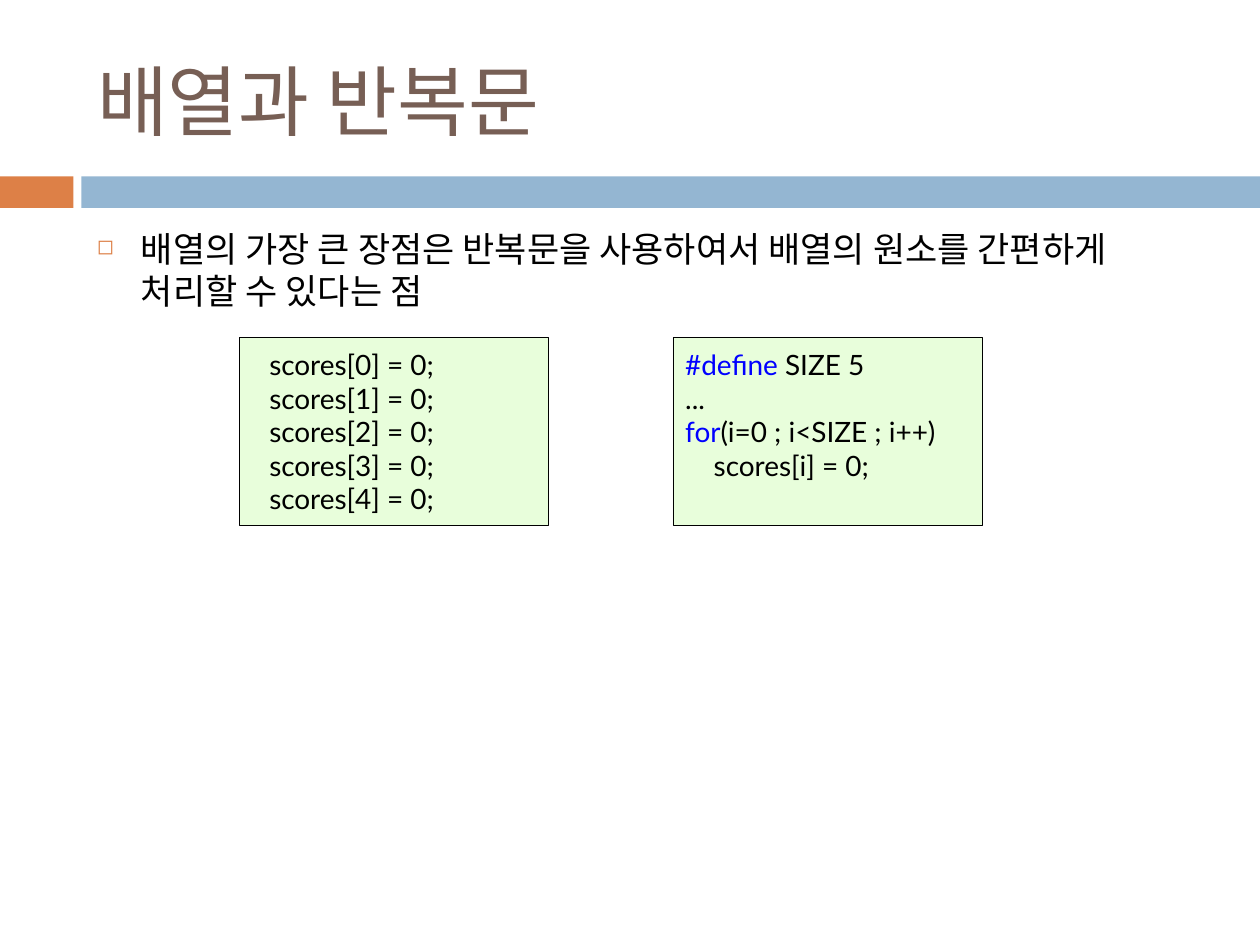
from dataclasses import dataclass

from lxml import etree
from pptx import Presentation
from pptx.dml.color import RGBColor
from pptx.enum.shapes import MSO_SHAPE
from pptx.enum.text import MSO_ANCHOR, PP_ALIGN
from pptx.oxml.ns import qn
from pptx.util import Pt

RECT = MSO_SHAPE.RECTANGLE
TOP, MIDDLE = MSO_ANCHOR.TOP, MSO_ANCHOR.MIDDLE
LEFT, JUSTIFY = PP_ALIGN.LEFT, PP_ALIGN.JUSTIFY

# Content
TITLE = "배열과 반복문"
POINT = "배열의 가장 큰 장점은 반복문을 사용하여서 배열의 원소를 간편하게 처리할 수 있다는 점"
# Each code line is a keyword and the rest
SINGLE = [("", f"scores[{i}] = 0;") for i in range(5)]
LOOP = [
    ("#define", " SIZE 5"),
    ("", "..."),
    ("for", "(i=0 ; i<SIZE ; i++)"),
    ("", "    scores[i] = 0;"),
]


@dataclass
class Theme:
    title: str = "775F55"
    text: str = "000000"
    accent: str = "DD8047"
    band: str = "94B6D2"
    code: str = "E8FEDB"
    key: str = "0000FF"
    head: str = "Cabin"
    body: str = "Noto Sans CJK KR"
    mono: str = "Lato"
    big: int = 44
    mid: int = 20
    small: int = 16


theme = Theme()

# Layout in points
WIDE, HIGH = 720, 540
EDGE, SPAN = 48.24, 642.24
BAR_TOP, BAR_HIGH = 100.8, 18
BAR_CUT, BAR_GAP = 42, 4.5
BOX_TOP, BOX_WIDE, BOX_HIGH = 192.8, 176.6, 107.4
BOXES = [(136.8, 10, SINGLE), (384.5, 0, LOOP)]  # left, indent, lines
HANG = 25.2


def color(code):
    return RGBColor.from_string(code)


def style(run, face, size, tint):
    run.font.name = face
    run.font.size = Pt(size)
    run.font.color.rgb = color(tint)
    asian = etree.SubElement(run.font._element, qn("a:ea"))
    asian.set("typeface", theme.body)


def add_rect(slide, left, top, width, height, fill):
    shape = slide.shapes.add_shape(RECT, Pt(left), Pt(top), Pt(width), Pt(height))
    shape.shadow.inherit = False
    shape.fill.solid()
    shape.fill.fore_color.rgb = color(fill)
    shape.line.fill.background()
    return shape


def add_bullet(para):
    props = para._p.get_or_add_pPr()
    props.set("marL", str(Pt(HANG)))
    props.set("indent", str(-Pt(HANG)))
    tint = etree.SubElement(props, qn("a:buClr"))
    etree.SubElement(tint, qn("a:srgbClr")).set("val", theme.accent)
    etree.SubElement(props, qn("a:buSzPct")).set("val", "60000")
    etree.SubElement(props, qn("a:buChar")).set("char", "◻")


def add_code(slide, left, indent, lines):
    box = add_rect(slide, left, BOX_TOP, BOX_WIDE, BOX_HIGH, theme.code)
    box.line.color.rgb = color(theme.text)
    box.line.width = Pt(0.33)
    frame = box.text_frame
    frame.word_wrap = True
    frame.vertical_anchor = TOP
    frame.margin_top = Pt(5.8)
    for i, (key, rest) in enumerate(lines):
        para = frame.add_paragraph() if i else frame.paragraphs[0]
        para.alignment = JUSTIFY
        if indent:
            para._p.get_or_add_pPr().set("indent", str(Pt(indent)))
        for text, tint in ((key, theme.key), (rest, theme.text)):
            if text:
                run = para.add_run()
                run.text = text
                style(run, theme.mono, theme.small, tint)


def main():
    deck = Presentation()
    deck.slide_width, deck.slide_height = Pt(WIDE), Pt(HIGH)
    slide = deck.slides.add_slide(deck.slide_layouts[5])

    # Colour bars under the title
    start = BAR_CUT + BAR_GAP
    add_rect(slide, 0, BAR_TOP, BAR_CUT, BAR_HIGH, theme.accent)
    add_rect(slide, start, BAR_TOP, WIDE - start, BAR_HIGH, theme.band)

    # Title
    title = slide.shapes.title
    title.left, title.top = Pt(EDGE), Pt(18)
    title.width, title.height = Pt(SPAN), Pt(78)
    title.text_frame.text = TITLE
    title.text_frame.vertical_anchor = MIDDLE
    para = title.text_frame.paragraphs[0]
    para.alignment = LEFT
    style(para.runs[0], theme.head, theme.big, theme.title)

    # Main point
    body = slide.shapes.add_textbox(Pt(EDGE), Pt(126), Pt(SPAN), Pt(354))
    body.text_frame.word_wrap = True
    body.text_frame.text = POINT
    para = body.text_frame.paragraphs[0]
    add_bullet(para)
    para.line_spacing = Pt(24.3)
    style(para.runs[0], theme.body, theme.mid, theme.text)

    # Code boxes
    for left, indent, lines in BOXES:
        add_code(slide, left, indent, lines)

    deck.save("out.pptx")


if __name__ == "__main__":
    main()
